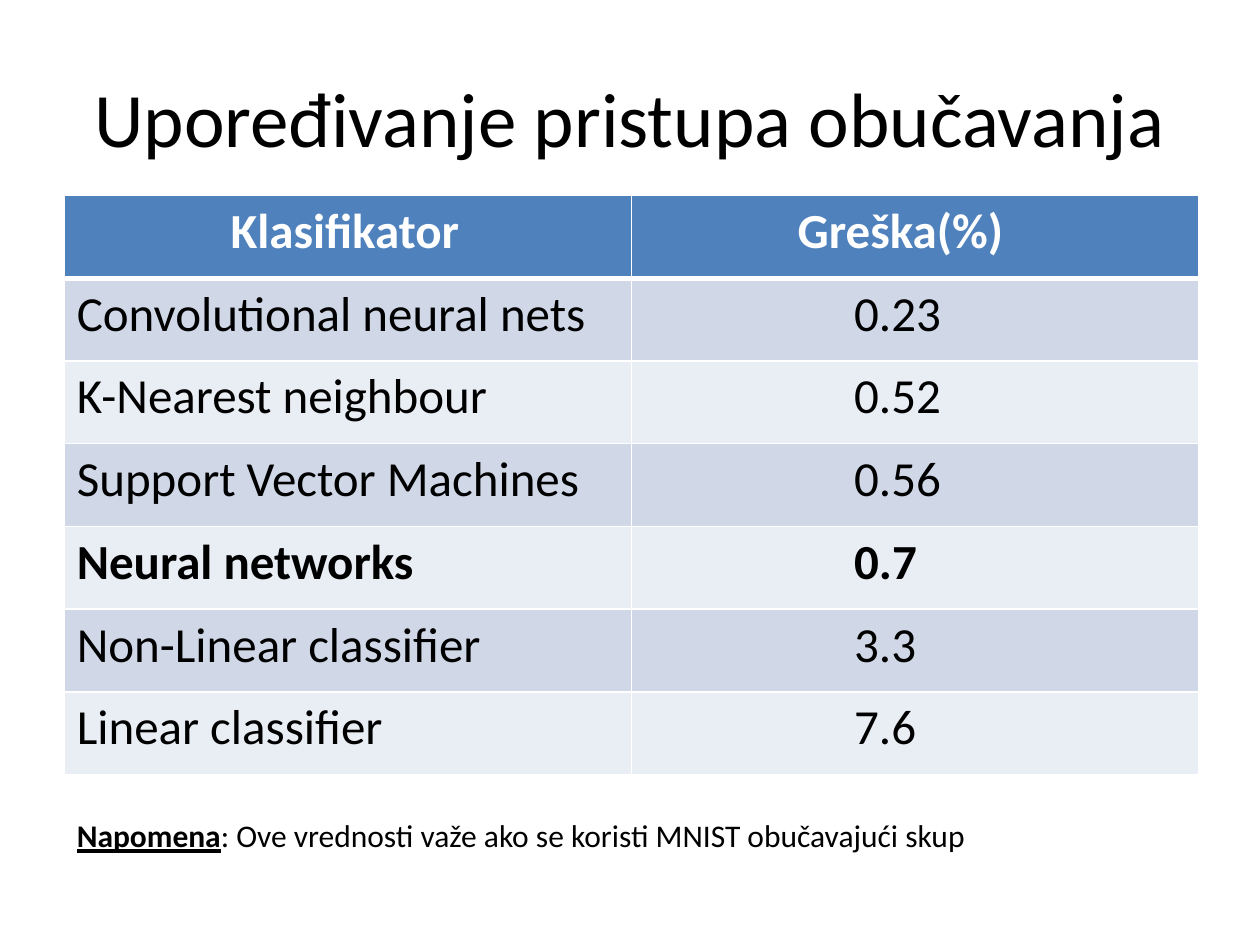
from lxml import etree
from pptx import Presentation
from pptx.dml.color import RGBColor
from pptx.enum.text import MSO_ANCHOR, MSO_AUTO_SIZE, PP_ALIGN
from pptx.oxml.ns import qn
from pptx.util import Cm, Pt

MIDDLE, CENTER = MSO_ANCHOR.MIDDLE, PP_ALIGN.CENTER
FIT_SHAPE = MSO_AUTO_SIZE.SHAPE_TO_FIT_TEXT

BLACK = RGBColor(0x00, 0x00, 0x00)
WHITE = RGBColor(0xFF, 0xFF, 0xFF)
HEADER = RGBColor(0x4F, 0x81, 0xBD)
BANDS = (RGBColor(0xD0, 0xD8, 0xE8), RGBColor(0xE9, 0xED, 0xF4))
FONT = "Calibri"
PAD, HEADER_INDENT, VALUE_INDENT = 0.25, 3.35, 4.49

COLUMNS = ("Klasifikator", "Greška(%)")
RESULTS = (
    ("Convolutional neural nets", "0.23"),
    ("K-Nearest neighbour", "0.52"),
    ("Support Vector Machines", "0.56"),
    ("Neural networks", "0.7"),
    ("Non-Linear classifier", "3.3"),
    ("Linear classifier", "7.6"),
)
HIGHLIGHT = "Neural networks"


def add_run(p, text, size, color=BLACK, bold=False, underline=False):
    r = p.add_run()
    r.text = text
    r.font.name, r.font.size = FONT, Pt(size)
    r.font.bold, r.font.underline = bold, underline
    r.font.color.rgb = color


def set_borders(cell, widths):
    """Draw white cell borders; widths maps a side (L, R, T, B) to points."""
    tc_pr = cell._tc.get_or_add_tcPr()
    for i, (side, width) in enumerate(widths.items()):
        ln = etree.Element(qn("a:ln" + side), w=str(Pt(width)))
        fill = etree.SubElement(ln, qn("a:solidFill"))
        etree.SubElement(fill, qn("a:srgbClr"), val=str(WHITE))
        tc_pr.insert(i, ln)


def add_title(s, left, top, width, height):
    sp = s.shapes.title
    sp.left, sp.top, sp.width, sp.height = map(Cm, (left, top, width, height))
    tf = sp.text_frame
    tf.vertical_anchor = MIDDLE
    p = tf.paragraphs[0]
    p.alignment = CENTER
    add_run(p, "Upoređivanje pristupa obučavanja", 44)


def add_results(s, left, top, width, height):
    rows = (COLUMNS,) + RESULTS
    table = s.shapes.add_table(len(rows), len(COLUMNS), Cm(left), Cm(top),
                               Cm(width), Cm(height)).table
    for i, row in enumerate(rows):
        table.rows[i].height = Cm(height / len(rows))
        header = i == 0
        for j, text in enumerate(row):
            cell = table.cell(i, j)
            cell.fill.solid()
            cell.fill.fore_color.rgb = HEADER if header else BANDS[(i - 1) % 2]
            indent = HEADER_INDENT if header else (PAD, VALUE_INDENT)[j]
            cell.margin_left = Cm(indent)
            set_borders(cell, {"L": 1, "R": 1, "T": 3 if i == 1 else 1,
                               "B": 3 if header else 1})
            add_run(cell.text_frame.paragraphs[0], text, 28,
                    WHITE if header else BLACK,
                    bold=header or row[0] == HIGHLIGHT)


def add_note(s, left, top, width, height):
    sp = s.shapes.add_textbox(Cm(left), Cm(top), Cm(width), Cm(height))
    tf = sp.text_frame
    tf.word_wrap = True
    tf.auto_size = FIT_SHAPE
    p = tf.paragraphs[0]
    add_run(p, "Napomena", 18, bold=True, underline=True)
    add_run(p, ": Ove vrednosti važe ako se koristi MNIST obučavajući skup", 18)


prs = Presentation()
prs.slide_width, prs.slide_height = Cm(25.4), Cm(19.05)
s = prs.slides.add_slide(prs.slide_layouts[5])

# Title, comparison table and footnote
add_title(s, 1.27, 0.76, 22.86, 3.18)
add_results(s, 1.3, 3.94, 22.86, 11.68)
add_note(s, 1.3, 16.33, 21.2, 1.03)

prs.save("out.pptx")
